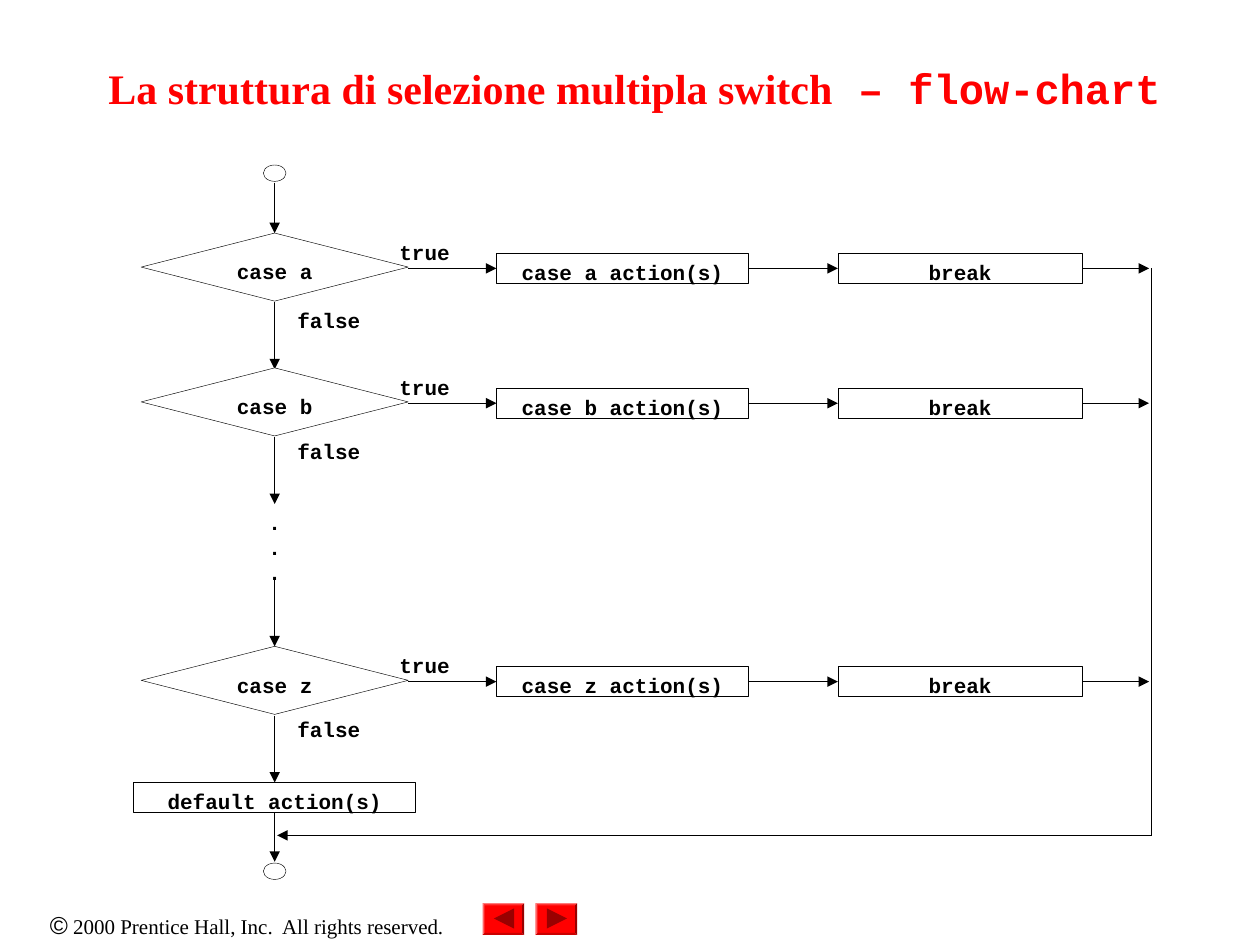
from lxml.etree import SubElement
from pptx import Presentation
from pptx.dml.color import RGBColor
from pptx.enum.shapes import MSO_CONNECTOR, MSO_SHAPE
from pptx.enum.text import MSO_ANCHOR, PP_ALIGN
from pptx.oxml.ns import qn
from pptx.util import Inches, Pt

THEME = {
    "black": RGBColor(0, 0, 0),
    "white": RGBColor(255, 255, 255),
    "red": RGBColor(255, 0, 0),
    "dark": RGBColor(153, 0, 0),
    "line": Pt(0.25),
    "title": {"name": "Times New Roman", "size": Pt(24), "bold": True},
    "code": {"name": "Courier New", "size": Pt(12), "bold": True},
    "sign": {"name": "Arial", "size": Pt(14), "bold": False},
    "foot": {"name": "Times New Roman", "size": Pt(12), "bold": False},
}
TITLE = [
    ("La struttura di selezione multipla switch", THEME["title"]),
    (" – flow-chart", {**THEME["title"], "name": "Courier New"}),
]
FOOT = [
    ("©", THEME["sign"]),
    (" 2000 Prentice Hall, Inc.  All rights reserved.", THEME["foot"]),
]
CASES = [("case a", 2.13, 2.44), ("case b", 3.2, 3.48), ("case z", 5.41, 5.69)]
BUTTONS = [(3.83, -90), (4.25, 90)]
AXIS, RAIL, MERGE = 2.18, 9.14, 6.63
ACTION = (3.94, 2)
BREAK = (6.65, 1.94)
DEFAULT = (1.06, 6.21, 2.24)
DIAMOND = (2.12, 0.54)
BOX, DROP, DOT = 0.24, 0.53, 0.18

deck = Presentation()
deck.slide_width, deck.slide_height = Inches(10), Inches(7.5)
slide = deck.slides.add_slide(deck.slide_layouts[5])
shapes = slide.shapes


def write(frame, lines, align, tint="black", inset=(0, 0), top=True, wrap=True):
    side, head = inset
    style = {
        "margin_left": Inches(side), "margin_right": Inches(side),
        "margin_top": Inches(head), "margin_bottom": 0, "word_wrap": wrap,
        "vertical_anchor": MSO_ANCHOR.TOP if top else MSO_ANCHOR.MIDDLE,
    }
    for key, value in style.items():
        setattr(frame, key, value)
    for index, runs in enumerate(lines):
        para = frame.add_paragraph() if index else frame.paragraphs[0]
        para.alignment = align
        for text, form in runs:
            run = para.add_run()
            run.text = text
            run.font.color.rgb = THEME[tint]
            for key, value in form.items():
                setattr(run.font, key, value)


def label(lines, left, top, width, height, align=PP_ALIGN.LEFT, **extra):
    box = shapes.add_textbox(*map(Inches, (left, top, width, height)))
    write(box.text_frame, lines, align, **extra)


def draw(kind, left, top, width, height, fill=None, edge=True):
    shape = shapes.add_shape(kind, *map(Inches, (left, top, width, height)))
    shape.shadow.inherit = False
    if fill:
        shape.fill.solid()
        shape.fill.fore_color.rgb = THEME[fill]
    else:
        shape.fill.background()
    if edge:
        shape.line.color.rgb = THEME["black"]
        shape.line.width = THEME["line"]
    else:
        shape.line.fill.background()
    return shape


def node(kind, text, left, top, width, height, drop, fill=None):
    shape = draw(kind, left, top, width, height, fill)
    write(shape.text_frame, [[(text, THEME["code"])]], PP_ALIGN.CENTER,
          inset=(0, drop))


def link(*ends, arrow=True):
    wire = shapes.add_connector(MSO_CONNECTOR.STRAIGHT, *map(Inches, ends))
    wire.line.color.rgb = THEME["black"]
    wire.line.width = THEME["line"]
    if arrow:
        SubElement(wire.line._get_or_add_ln(), qn("a:tailEnd"), type="triangle")
    SubElement(wire._element.spPr, qn("a:effectLst"))


def step(text, place, mid):
    left, width = place
    node(MSO_SHAPE.RECTANGLE, text, left, mid - BOX / 2, width, BOX, 0.05)


def case(name, mid, below):
    wide, high = DIAMOND
    right = AXIS + wide / 2
    node(MSO_SHAPE.DIAMOND, name, AXIS - wide / 2, mid - 0.28, wide, high,
         0.07, "white")
    step(f"{name} action(s)", ACTION, mid)
    step("break", BREAK, mid)
    stops = [(right, ACTION[0]), (sum(ACTION), BREAK[0]), (sum(BREAK), RAIL - 0.02)]
    for start, end in stops:
        link(start, mid, end, mid)
    link(AXIS, mid + 0.27, AXIS, mid + 0.27 + DROP)
    label([[("true", THEME["code"])]], 3.17, mid - 0.23, 0.63, 0.26)
    label([[("false", THEME["code"])]], 2.36, below, 0.76, 0.26)


title = shapes.title
spot = {"left": 0.35, "top": 0.21, "width": 9.37, "height": 0.97}
for key, value in spot.items():
    setattr(title, key, Inches(value))
write(title.text_frame, [TITLE], PP_ALIGN.CENTER, tint="red",
      inset=(0.1, 0), top=False)

for top in (1.31, 6.85):
    draw(MSO_SHAPE.OVAL, AXIS - DOT / 2, top, DOT, 0.13)
link(AXIS, 1.45, AXIS, 1.85)
for row in CASES:
    case(*row)
label([[(".", THEME["code"])]] * 3, AXIS - DOT / 2, 4.04, DOT, 0.65,
      PP_ALIGN.CENTER)
link(AXIS, 4.6, AXIS, 4.6 + DROP)

left, top, width = DEFAULT
node(MSO_SHAPE.RECTANGLE, "default action(s)", left, top, width, BOX, 0.05)
link(AXIS, top + BOX, AXIS, 6.84)
link(RAIL, CASES[0][1], RAIL, MERGE, arrow=False)
link(RAIL, MERGE, AXIS + 0.02, MERGE)

label([FOOT], 0, 7.17, 3.92, 0.34, PP_ALIGN.CENTER, inset=(0.1, 0.05), wrap=False)
for left, turn in BUTTONS:
    button = draw(MSO_SHAPE.BEVEL, left, 7.17, 0.33, 0.25, "red", False)
    button.adjustments[0] = 0.06
    mark = draw(MSO_SHAPE.ISOSCELES_TRIANGLE, left + 0.09, 7.21, 0.16, 0.16,
                "dark", False)
    mark.rotation = turn

deck.save("out.pptx")
